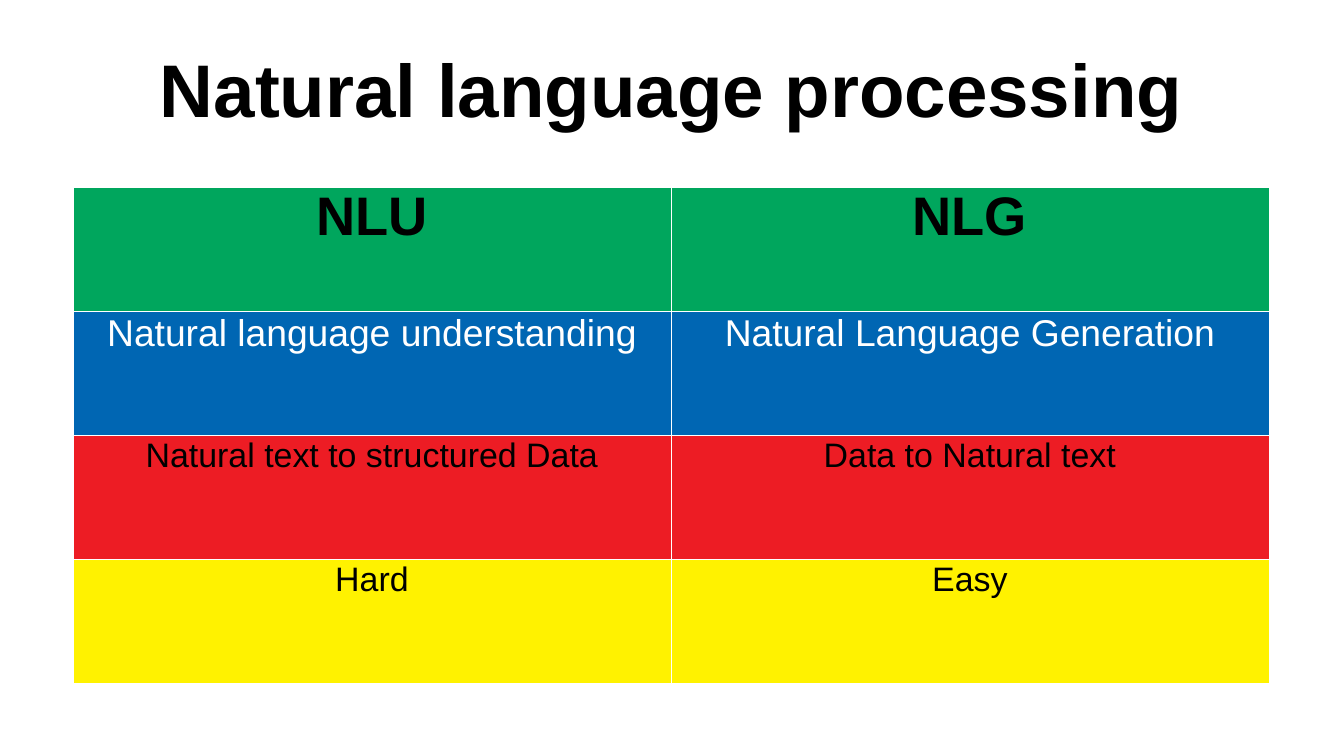
from collections import namedtuple
from dataclasses import dataclass

from lxml import etree
from pptx import Presentation
from pptx import util as u
from pptx.dml.color import RGBColor
from pptx.enum import text
from pptx.oxml.ns import qn

PX = u.Inches(1) / 122
Box = namedtuple("Box", "left top width height")
RowStyle = namedtuple("RowStyle", "fill color size bold")


@dataclass(frozen=True)
class Theme:
    font: str = "Arial"
    black: str = "000000"
    white: str = "FFFFFF"
    green: str = "00A65D"
    blue: str = "0066B3"
    red: str = "ED1C24"
    yellow: str = "FFF200"
    title_size: int = 44
    heading_size: int = 32
    name_size: int = 22
    body_size: int = 20
    title_spacing: float = 0.93
    cell_spacing: float = 0.87
    border_width: float = 0.06


THEME = Theme()

COMPARISON = [
    (RowStyle(THEME.green, THEME.black, THEME.heading_size, True),
     ("NLU", "NLG")),
    (RowStyle(THEME.blue, THEME.white, THEME.name_size, False),
     ("Natural language understanding", "Natural Language Generation")),
    (RowStyle(THEME.red, THEME.black, THEME.body_size, False),
     ("Natural text to structured Data", "Data to Natural text")),
    (RowStyle(THEME.yellow, THEME.black, THEME.body_size, False),
     ("Hard", "Easy")),
]


def px(length):
    return u.Emu(round(length * PX))


def write_centred(frame, words, size, color, bold, spacing):
    frame.text = words
    paragraph = frame.paragraphs[0]
    paragraph.alignment = text.PP_ALIGN.CENTER
    paragraph.line_spacing = spacing
    font = paragraph.runs[0].font
    font.name = THEME.font
    font.size = u.Pt(size)
    font.bold = bold
    font.color.rgb = RGBColor.from_string(color)


def set_borders(cell):
    properties = cell._tc.get_or_add_tcPr()
    # Border lines stand before the fill
    for index, side in enumerate(("lnL", "lnR", "lnT", "lnB")):
        line = etree.Element(qn(f"a:{side}"), w=str(u.Pt(THEME.border_width)))
        fill = etree.SubElement(line, qn("a:solidFill"))
        etree.SubElement(fill, qn("a:srgbClr"), val=THEME.white)
        properties.insert(index, line)


def add_title(slide, box, words):
    shape = slide.shapes.add_textbox(*map(px, box))
    frame = shape.text_frame
    frame.word_wrap = True
    frame.vertical_anchor = text.MSO_ANCHOR.MIDDLE
    frame.margin_left = frame.margin_right = 0
    frame.margin_top = frame.margin_bottom = 0
    write_centred(frame, words, THEME.title_size, THEME.black, True,
                  THEME.title_spacing)


def add_comparison(slide, box, rows):
    column_count = len(rows[0][1])
    table = slide.shapes.add_table(len(rows), column_count,
                                   *map(px, box)).table
    table.first_row = table.horz_banding = False
    for column in table.columns:
        column.width = px(box.width / column_count)
    for row_index, (style, labels) in enumerate(rows):
        table.rows[row_index].height = px(box.height / len(rows))
        for column_index, label in enumerate(labels):
            cell = table.cell(row_index, column_index)
            cell.fill.solid()
            cell.fill.fore_color.rgb = RGBColor.from_string(style.fill)
            set_borders(cell)
            write_centred(cell.text_frame, label, style.size, style.color,
                          style.bold, THEME.cell_spacing)


def main():
    presentation = Presentation()
    presentation.slide_width = px(1344)
    presentation.slide_height = px(756)
    slide = presentation.slides.add_slide(presentation.slide_layouts[6])

    # Title
    add_title(slide, Box(67, 30, 1210, 126), "Natural language processing")
    # Comparison table
    add_comparison(slide, Box(73, 187, 1196, 496), COMPARISON)

    presentation.save("out.pptx")


if __name__ == "__main__":
    main()
